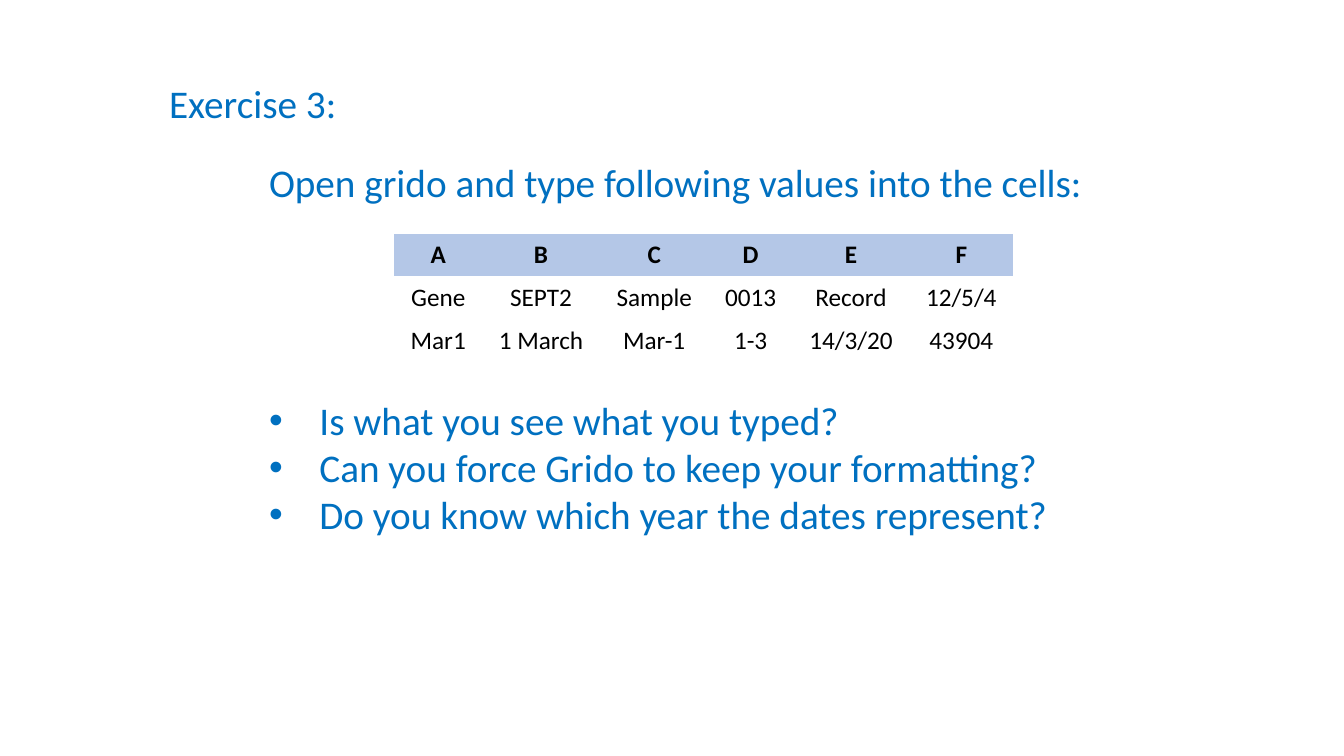
import pptx
import pptx.util
import pptx.dml.color
import pptx.enum.text
import pptx.oxml.ns
from dataclasses import dataclass
from lxml import etree


@dataclass(frozen=True)
class Theme:
    font: str = "Calibri"
    accent: str = "0070C0"
    ink: str = "000000"
    header_fill: str = "B4C7E7"
    cell_fill: str = "FFFFFF"
    text_size: float = 28
    table_size: float = 18
    table_style: str = "{2D5ABB26-0587-4C30-8999-92F81FD0307C}"


class SlideBuilder:
    def __init__(self, deck, theme):
        self.deck = deck
        self.theme = theme
        self.page = deck.slides.add_slide(deck.slide_layouts[6])

    def across(self, percent):
        return round(self.deck.slide_width * percent / 100)

    def down(self, percent):
        return round(self.deck.slide_height * percent / 100)

    def place(self, left, top, width, height):
        return self.across(left), self.down(top), self.across(width), self.down(height)

    def apply(self, target, values):
        for name, value in values.items():
            setattr(target, name, value)

    def add_span(self, para, text, size, color, bold=False):
        span = para.add_run()
        span.text = text
        self.apply(span.font, {
            "name": self.theme.font,
            "size": pptx.util.Pt(size),
            "bold": bold,
        })
        span.font.color.rgb = pptx.dml.color.RGBColor.from_string(color)

    def text(self, area, lines, alignment):
        box = self.page.shapes.add_textbox(*self.place(*area))
        box.text_frame.word_wrap = True
        for index, line in enumerate(lines):
            para = box.text_frame.add_paragraph() if index else box.text_frame.paragraphs[0]
            para.alignment = alignment
            self.add_span(para, line, self.theme.text_size, self.theme.accent)
        return box

    def bullet(self, para, indent):
        properties = para._p.get_or_add_pPr()
        properties.set("marL", str(indent))
        properties.set("indent", str(-indent))
        font = etree.SubElement(properties, pptx.oxml.ns.qn("a:buFont"))
        font.set("typeface", "Arial")
        mark = etree.SubElement(properties, pptx.oxml.ns.qn("a:buChar"))
        mark.set("char", "•")

    def table(self, area, widths, rows):
        frame = self.page.shapes.add_table(len(rows), len(widths), *self.place(*area))
        grid = frame.table
        self.apply(grid, {"first_row": False, "horz_banding": False})
        grid._tbl.tblPr.find(pptx.oxml.ns.qn("a:tableStyleId")).text = self.theme.table_style
        for column, width in zip(grid.columns, widths):
            column.width = self.across(width)
        side, edge = pptx.util.Inches(0.14), pptx.util.Inches(0.06)
        cell_format = {
            "margin_left": side,
            "margin_right": side,
            "margin_top": edge,
            "margin_bottom": edge,
            "vertical_anchor": pptx.enum.text.MSO_ANCHOR.MIDDLE,
        }
        for row_index, row in enumerate(rows):
            header = row_index == 0
            fill = self.theme.header_fill if header else self.theme.cell_fill
            for column_index, value in enumerate(row):
                cell = grid.cell(row_index, column_index)
                self.apply(cell, cell_format)
                cell.fill.solid()
                cell.fill.fore_color.rgb = pptx.dml.color.RGBColor.from_string(fill)
                para = cell.text_frame.paragraphs[0]
                para.alignment = pptx.enum.text.PP_ALIGN.CENTER
                self.add_span(para, value, self.theme.table_size, self.theme.ink, header)


def main():
    deck = pptx.Presentation()
    deck.slide_width = pptx.util.Inches(13.33)
    deck.slide_height = pptx.util.Inches(7.5)
    builder = SlideBuilder(deck, Theme())
    align = pptx.enum.text.PP_ALIGN

    builder.text((11.85, 9.87, 77.64, 7.6), ["Exercise 3:"], align.LEFT)
    task = builder.text((19.28, 20.27, 63.54, 51.6), [
        "Open grido and type following values into the cells:",
        "Is what you see what you typed?",
        "Can you force Grido to keep your formatting?",
        "Do you know which year the dates represent?",
    ], align.JUSTIFY)
    questions = task.text_frame.paragraphs[1:]
    questions[0].space_before = pptx.util.Pt(136.7)
    for question in questions:
        builder.bullet(question, pptx.util.Inches(0.5))

    builder.table((29.33, 30.93, 46.05, 16.93), [6.55, 8.75, 8.1, 6.25, 8.7, 7.7], [
        list("ABCDEF"),
        ["Gene", "SEPT2", "Sample", "0013", "Record", "12/5/4"],
        ["Mar1", "1 March", "Mar-1", "1-3", "14/3/20", "43904"],
    ])
    deck.save("out.pptx")


if __name__ == "__main__":
    main()
